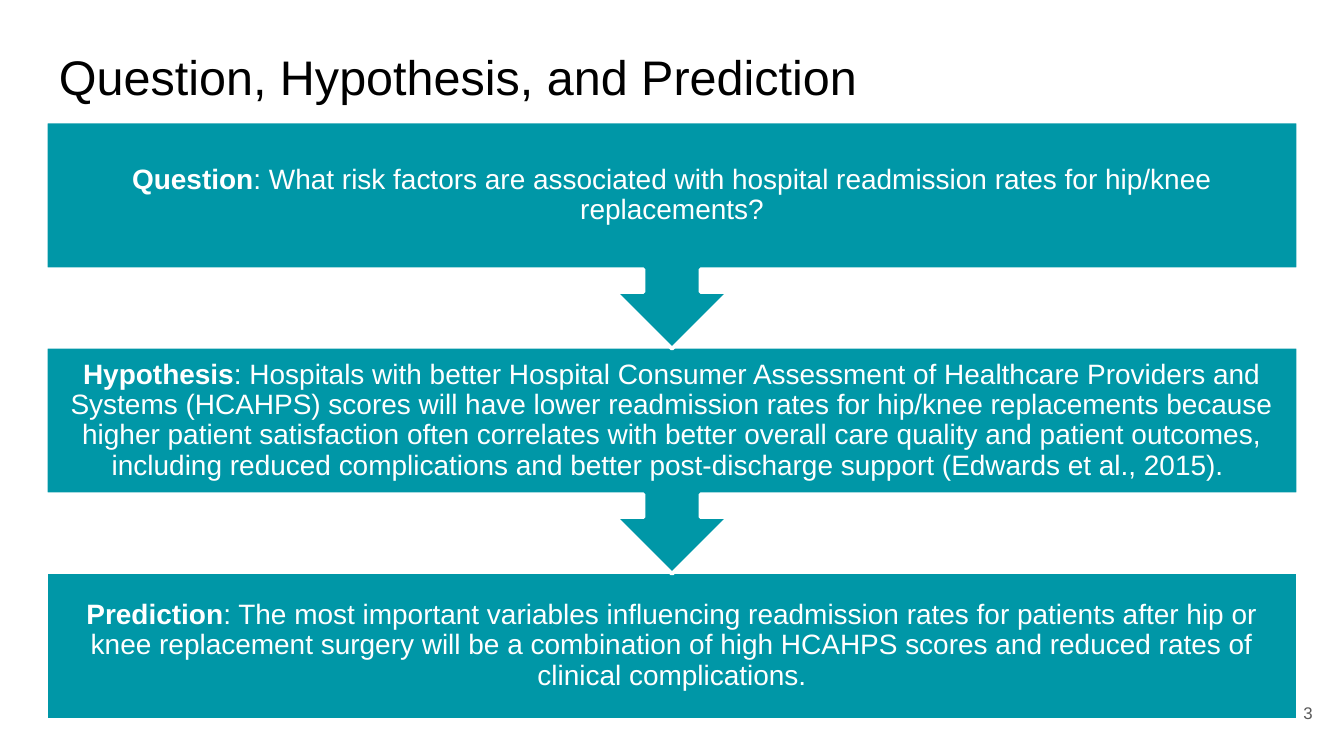
from pptx import Presentation
from pptx.dml.color import RGBColor
from pptx.enum.shapes import MSO_SHAPE as Shape
from pptx.enum.text import MSO_ANCHOR as Anchor, PP_ALIGN as Align
from pptx.util import Pt

PX = 4572
WHITE = RGBColor(0xFF, 0xFF, 0xFF)
BLACK = RGBColor(0x00, 0x00, 0x00)
GREY = RGBColor(0x59, 0x59, 0x59)
TEAL = RGBColor(0x00, 0x97, 0xA7)

TITLE = "Question, Hypothesis, and Prediction"
PAGE = "3"
STEPS = [
    ("Question", ": What risk factors are associated with hospital readmission rates "
     "for hip/knee replacements?"),
    ("Hypothesis", ": Hospitals with better Hospital Consumer Assessment of Healthcare "
     "Providers and Systems (HCAHPS) scores will have lower readmission rates for "
     "hip/knee replacements because higher patient satisfaction often correlates with "
     "better overall care quality and patient outcomes, including reduced complications "
     "and better post-discharge support (Edwards et al., 2015). "),
    ("Prediction", ": The most important variables influencing readmission rates for "
     "patients after hip or knee replacement surgery will be a combination of high "
     "HCAHPS scores and reduced rates of clinical complications."),
]
LEFT, WIDTH = 68, 1864
TOP, PITCH = 181, 335
BOX_H, CALLOUT_H = 220, 338


def emu(*lengths):
    return [n * PX for n in lengths]


def add_text(s, text, at, size, color, align=Align.LEFT, lead="", inset=20, after=0):
    tf = s.shapes.add_textbox(*emu(*at)).text_frame
    tf.word_wrap = True
    tf.vertical_anchor = Anchor.MIDDLE
    tf.margin_left = tf.margin_right = tf.margin_top = tf.margin_bottom = inset * PX
    p = tf.paragraphs[0]
    p.alignment = align
    p.line_spacing = 0.9
    p.space_after = Pt(after)
    for part, bold in ((lead, True), (text, False)):
        if part:
            r = p.add_run()
            r.text = part
            r.font.name = "Arial"
            r.font.size = Pt(size)
            r.font.bold = bold
            r.font.color.rgb = color


def add_block(s, kind, at, rotation=0):
    sp = s.shapes.add_shape(kind, *emu(*at))
    sp.shadow.inherit = False
    sp.rotation = rotation
    sp.fill.solid()
    sp.fill.fore_color.rgb = TEAL
    sp.line.color.rgb = WHITE
    sp.line.width = Pt(2)


def main():
    """Build the slide and save it."""
    prs = Presentation()
    prs.slide_width, prs.slide_height = emu(2000, 1125)
    s = prs.slides.add_slide(prs.slide_layouts[6])
    add_text(s, TITLE, (LEFT, 56, WIDTH, 126), 26, BLACK)
    add_text(s, PAGE, (1853, 1020, 120, 86), 9, GREY, align=Align.RIGHT, after=6)
    last = len(STEPS) - 1
    for i, (lead, text) in reversed(list(enumerate(STEPS))):
        box = (LEFT, TOP + i * PITCH, WIDTH, BOX_H)
        if i == last:
            add_block(s, Shape.RECTANGLE, box)
        else:
            add_block(s, Shape.UP_ARROW_CALLOUT, (*box[:3], CALLOUT_H), rotation=180)
        add_text(s, text, box, 15, WHITE, align=Align.CENTER, lead=lead, inset=24, after=5)
    prs.save("out.pptx")


if __name__ == "__main__":
    main()
